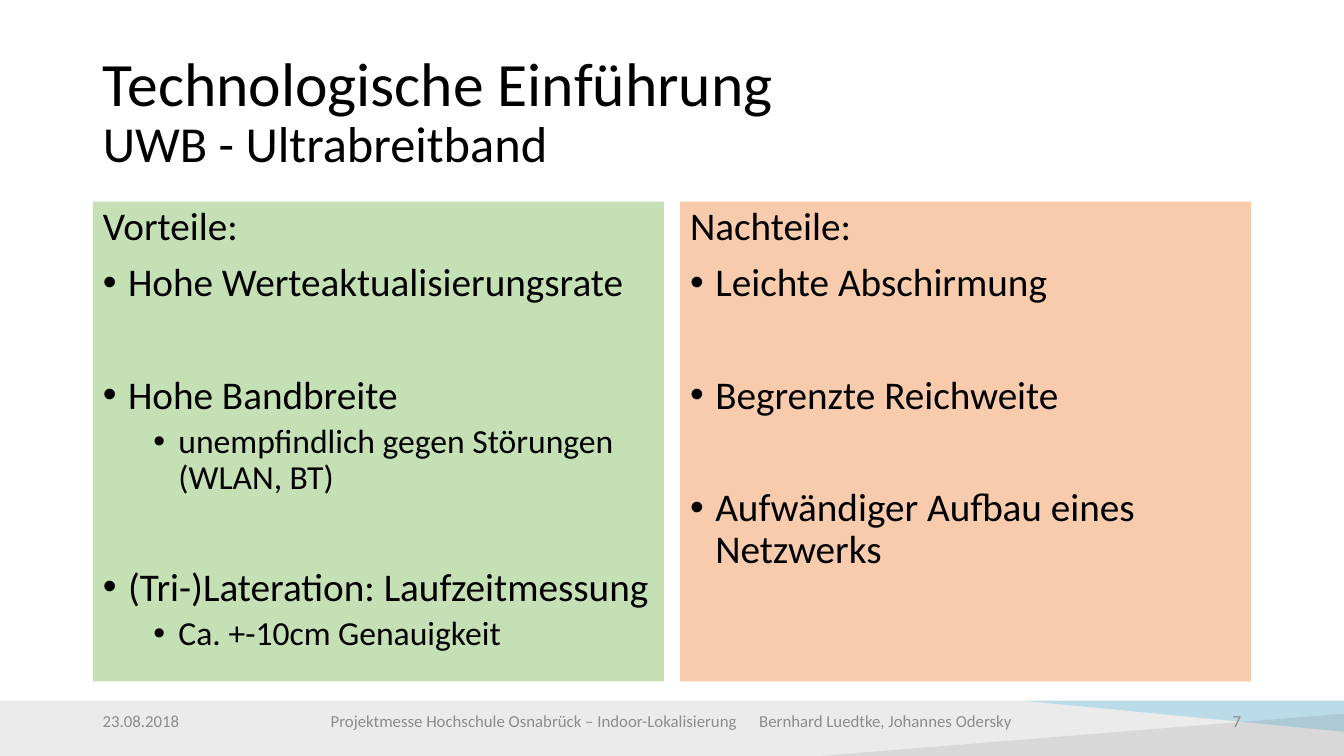
from dataclasses import dataclass

from lxml import etree
from pptx import Presentation
from pptx.dml.color import RGBColor
from pptx.enum.shapes import MSO_SHAPE
from pptx.enum.text import MSO_ANCHOR, MSO_AUTO_SIZE, PP_ALIGN
from pptx.oxml.ns import qn
from pptx.util import Inches, Pt

RECT, WEDGE = MSO_SHAPE.RECTANGLE, MSO_SHAPE.RIGHT_TRIANGLE
TOP, MIDDLE = MSO_ANCHOR.TOP, MSO_ANCHOR.MIDDLE
LEFT, RIGHT = PP_ALIGN.LEFT, PP_ALIGN.RIGHT
NO_FIT = MSO_AUTO_SIZE.NONE


@dataclass(frozen=True)
class Theme:
    """Colours, font and type sizes of the slide."""
    font: str = "Calibri"
    ink: str = "000000"
    grey: str = "8C8C8C"
    blue: str = "009EE3"
    green: str = "C5E0B4"
    peach: str = "F8CBAD"
    title: int = 44
    sub: int = 36
    list: tuple = (28, 24)
    foot: int = 12


THEME = Theme()
WIDE, HIGH = 13.33, 7.5
EDGE, GAP = 0.92, 0.16
COL = (WIDE - 2 * EDGE - GAP) / 2
SPACE = (10, 5)
BREAK = 50

PROS = [
    ("Hohe Werteaktualisierungsrate", 0, False),
    ("Hohe Bandbreite", 0, True),
    ("unempfindlich gegen Störungen (WLAN, BT)", 1, False),
    ("(Tri-)Lateration: Laufzeitmessung", 0, True),
    ("Ca. +-10cm Genauigkeit", 1, False),
]
CONS = [
    ("Leichte Abschirmung", 0, False),
    ("Begrenzte Reichweite", 0, True),
    ("Aufwändiger Aufbau eines Netzwerks", 0, True),
]


def place(shape, box):
    """Move a shape to a box given in inches."""
    shape.left, shape.top, shape.width, shape.height = map(Inches, box)


def style(font, size, color):
    """Set the theme font with a size and colour."""
    font.name, font.size = THEME.font, Pt(size)
    font.color.rgb = RGBColor.from_string(color)


def frame(shape, anchor):
    """Return the wrapped text frame of a shape, set to an anchor."""
    text = shape.text_frame
    text.word_wrap, text.auto_size = True, NO_FIT
    text.vertical_anchor = anchor
    return text


def head(shape, box, main, sub):
    """Fill the title with a main line and a smaller second line."""
    place(shape, box)
    line = frame(shape, MIDDLE).paragraphs[0]
    line.alignment, line.line_spacing = LEFT, 0.9
    style(line.font, THEME.title, THEME.ink)
    line.add_run().text = main
    line.add_line_break()
    run = line.add_run()
    run.text, run.font.size = sub, Pt(THEME.sub)


def bullet(line, level):
    """Give a paragraph a hanging round bullet at its level."""
    line.level = level
    props = line._p.get_or_add_pPr()
    props.set("marL", str(Inches(0.25 + 0.5 * level)))
    props.set("indent", str(-Inches(0.25)))
    etree.SubElement(props, qn("a:buFont")).set("typeface", "Arial")
    etree.SubElement(props, qn("a:buChar")).set("char", "•")


def panel(shape, box, color, label, items):
    """Fill a body placeholder with a label and its bullet list."""
    place(shape, box)
    shape.fill.solid()
    shape.fill.fore_color.rgb = RGBColor.from_string(color)
    text = frame(shape, TOP)
    first = text.paragraphs[0]
    first.text = label
    props = first._p.get_or_add_pPr()
    props.set("marL", "0")
    props.set("indent", "0")
    etree.SubElement(props, qn("a:buNone"))
    first.space_before, first.line_spacing = Pt(0), 0.9
    style(first.font, THEME.list[0], THEME.ink)
    for words, level, apart in items:
        line = text.add_paragraph()
        line.text = words
        bullet(line, level)
        line.space_before = Pt(BREAK if apart else SPACE[level])
        line.line_spacing = 0.9
        style(line.font, THEME.list[level], THEME.ink)


def tint(slide, kind, box, color, alpha, flips):
    """Draw one see-through, flipped shape of the footer band."""
    shape = slide.shapes.add_shape(kind, *map(Inches, box))
    shape.shadow.inherit = False
    shape.fill.solid()
    shape.fill.fore_color.rgb = RGBColor.from_string(color)
    shape.line.fill.background()
    for tone in shape.element.spPr.iter(qn("a:srgbClr")):
        etree.SubElement(tone, qn("a:alpha")).set("val", str(alpha * 1000))
    for flip in flips:
        shape.element.spPr.xfrm.set(flip, "1")


def note(slide, box, words, align, inset=0.1, stop=None):
    """Write one footer text, with an optional tab stop."""
    shape = slide.shapes.add_textbox(*map(Inches, box))
    text = frame(shape, MIDDLE)
    text.margin_left = Inches(inset)
    line = text.paragraphs[0]
    line.text, line.alignment = words, align
    if stop:
        tabs = etree.SubElement(line._p.get_or_add_pPr(), qn("a:tabLst"))
        tab = etree.SubElement(tabs, qn("a:tab"))
        tab.set("pos", str(Inches(stop)))
        tab.set("algn", "l")
    style(line.font, THEME.foot, THEME.grey)


def foot(slide, box):
    """Draw the footer band with date, event and page number."""
    left, top, width, height = box
    end = left + width
    both = ("flipH", "flipV")
    tint(slide, RECT, box, THEME.ink, 8, both)
    tint(slide, WEDGE, (end - 3.2, top, 3.2, 0.31), THEME.blue, 20, both)
    tint(slide, WEDGE, (end - 5.2, top + 0.13, 5.2, height - 0.13),
         THEME.ink, 8, both[:1])
    start, tall = left + EDGE, 0.4
    note(slide, (start, top, 1, tall), "23.08.2018", LEFT)
    note(slide, (start + 1, top, width - 2 * EDGE - 2, tall),
         "Projektmesse Hochschule Osnabrück – Indoor-Lokalisierung\t"
         "Bernhard Luedtke, Johannes Odersky", LEFT, 1.36, 4.25)
    note(slide, (end - EDGE - 1, top, 1, tall), "7", RIGHT)


def main():
    """Build and save the slide."""
    deck = Presentation()
    deck.slide_width, deck.slide_height = Inches(WIDE), Inches(HIGH)
    slide = deck.slides.add_slide(deck.slide_layouts[3])
    title, good, bad = slide.placeholders
    foot(slide, (0, 6.95, WIDE, HIGH - 6.95))
    head(title, (EDGE, 0.4, 8.61, 1.45),
         "Technologische Einführung", "UWB - Ultrabreitband")
    sides = [(good, THEME.green, "Vorteile:", PROS),
             (bad, THEME.peach, "Nachteile:", CONS)]
    for col, (shape, color, label, items) in enumerate(sides):
        box = (EDGE + col * (COL + GAP), 2, COL, 4.76)
        panel(shape, box, color, label, items)
    deck.save("out.pptx")


if __name__ == "__main__":
    main()
